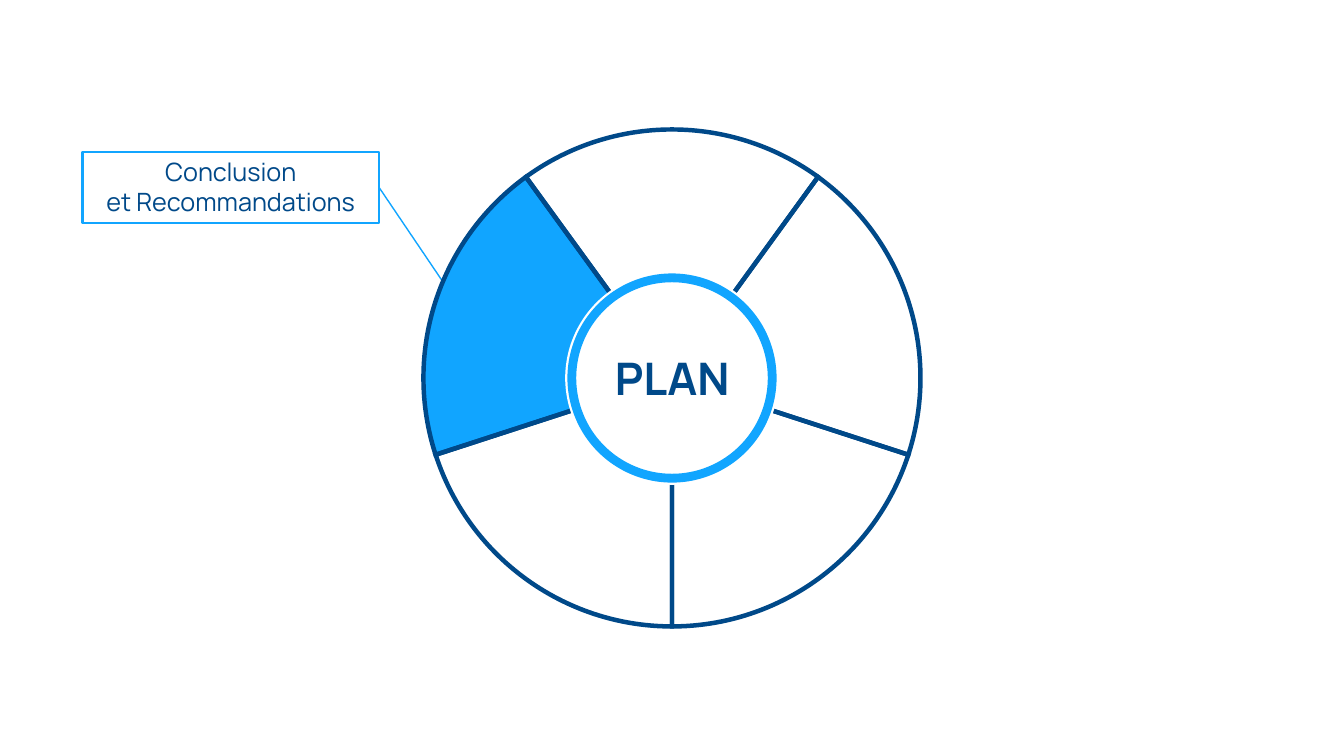
from math import asin, ceil, cos, pi, radians, sin, tan

from lxml.etree import SubElement
from pptx import Presentation
from pptx.dml.color import RGBColor
from pptx.enum.shapes import MSO_CONNECTOR, MSO_SHAPE
from pptx.enum.text import MSO_ANCHOR, MSO_AUTO_SIZE, PP_ALIGN
from pptx.oxml.ns import qn
from pptx.util import Pt

COLORS = {"navy": "004989", "blue": "11A5FF", "white": "FFFFFF"}
CENTER = (480, 270)
WHEEL_RADIUS = 177.5
HALF_SECTOR = radians(36)
HALF_BAND = 1.6
SECTOR_MIDDLES = [54, 126, -18, -90, 198]
HIGHLIGHTED_MIDDLE = 198


def color(name):
    return RGBColor.from_string(COLORS[name])


def style_shape(shape, fill=None, line=None, width=1):
    shape.shadow.inherit = False
    if fill:
        shape.fill.solid()
        shape.fill.fore_color.rgb = color(fill)
    else:
        shape.fill.background()
    if line:
        shape.line.color.rgb = color(line)
        shape.line.width = Pt(width)
    else:
        shape.line.fill.background()


def write_text(shape, lines, size, bold=False, wrap=True):
    frame = shape.text_frame
    frame.text = "\n".join(lines)
    frame_format = {
        "word_wrap": wrap,
        "vertical_anchor": MSO_ANCHOR.TOP,
        "auto_size": MSO_AUTO_SIZE.SHAPE_TO_FIT_TEXT,
    }
    for name, value in frame_format.items():
        setattr(frame, name, value)
    font_format = {"name": "Manrope", "size": Pt(size), "bold": bold}
    for paragraph in frame.paragraphs:
        paragraph.alignment = PP_ALIGN.CENTER
        for name, value in font_format.items():
            setattr(paragraph.font, name, value)
        paragraph.font.color.rgb = color("navy")


def polar(radius, angle):
    return (
        Pt(CENTER[0] + radius * cos(angle)),
        Pt(CENTER[1] + radius * sin(angle)),
    )


def arc_points(radius, start, end):
    quarter = ceil(start / (pi / 2)) * pi / 2
    stops = [start, quarter, end] if start < quarter < end else [start, end]
    points = [polar(radius, start)]
    for first, last in zip(stops, stops[1:]):
        bend = 4 / 3 * tan((last - first) / 4)
        reach = radius * (1 + bend**2) ** 0.5
        turn = asin(bend * radius / reach)
        points += [polar(reach, first + turn), polar(reach, last - turn), polar(radius, last)]
    return points


def sector_points(middle, offset):
    radius = WHEEL_RADIUS + offset
    half = HALF_SECTOR + asin(offset / radius)
    apex = polar(-offset / sin(HALF_SECTOR), middle)
    return [apex] + arc_points(radius, middle - half, middle + half)


def bend_arcs(shape):
    outline = next(shape.element.iter(qn("a:path")))
    lines = []
    for node in list(outline):
        if node.tag == qn("a:moveTo"):
            lines = []
        elif node.tag == qn("a:lnTo"):
            lines.append(node)
            if len(lines) > 1 and len(lines) % 3 == 1:
                curve, second, third = lines[-3:]
                curve.tag = qn("a:cubicBezTo")
                for extra in (second, third):
                    curve.append(extra[0])
                    outline.remove(extra)


def add_sector(slide, middle, offsets, fill):
    contours = [sector_points(radians(middle), offset) for offset in offsets]
    builder = slide.shapes.build_freeform(*contours[0][0])
    builder.add_line_segments(contours[0][1:], close=True)
    for contour in contours[1:]:
        builder.move_to(*contour[0])
        builder.add_line_segments(contour[1:], close=True)
    sector = builder.convert_to_shape()
    bend_arcs(sector)
    style_shape(sector, fill=fill)


def add_round(slide, kind, radius, fill, thickness=0):
    center_x, center_y = CENTER
    shape = slide.shapes.add_shape(
        kind, Pt(center_x - radius), Pt(center_y - radius), Pt(2 * radius), Pt(2 * radius)
    )
    if thickness:
        shape.adjustments[0] = thickness / (2 * radius)
    style_shape(shape, fill=fill)


def add_label(slide, lines):
    label = slide.shapes.add_shape(MSO_SHAPE.RECTANGLE, Pt(59), Pt(108.3), Pt(211.7), Pt(50.9))
    style_shape(label, line="blue", width=1.5)
    write_text(label, lines, 18, wrap=False)
    return label


def add_leader(slide, label, end_x, end_y):
    leader = slide.shapes.add_connector(
        MSO_CONNECTOR.STRAIGHT, Pt(270.7), Pt(133.8), Pt(end_x), Pt(end_y)
    )
    leader.begin_connect(label, 3)
    leader.line.color.rgb = color("blue")
    leader.line.width = Pt(1)
    SubElement(leader.element.spPr, qn("a:effectLst"))


def place_title(slide, text):
    title = slide.shapes.title
    box = {"left": Pt(424), "top": Pt(247), "width": Pt(112.4), "height": Pt(46)}
    for name, value in box.items():
        setattr(title, name, value)
    write_text(title, [text], 32, bold=True)


def bring_to_front(shape):
    shape.element.getparent().append(shape.element)


def main():
    presentation = Presentation()
    presentation.slide_width = Pt(960)
    presentation.slide_height = Pt(540)
    slide = presentation.slides.add_slide(presentation.slide_layouts[5])

    label = add_label(slide, ["Conclusion", "et Recommandations"])
    add_leader(slide, label, 337, 231.8)

    add_sector(slide, HIGHLIGHTED_MIDDLE, [0], "blue")
    for middle in SECTOR_MIDDLES:
        add_sector(slide, middle, [HALF_BAND, -HALF_BAND], "navy")

    add_round(slide, MSO_SHAPE.OVAL, 71.6, "white")
    add_round(slide, MSO_SHAPE.DONUT, 76.3, "white", 9.4)
    add_round(slide, MSO_SHAPE.DONUT, 74.7, "blue", 6.3)

    place_title(slide, "PLAN")
    bring_to_front(slide.shapes.title)
    bring_to_front(label)

    presentation.save("out.pptx")


if __name__ == "__main__":
    main()
